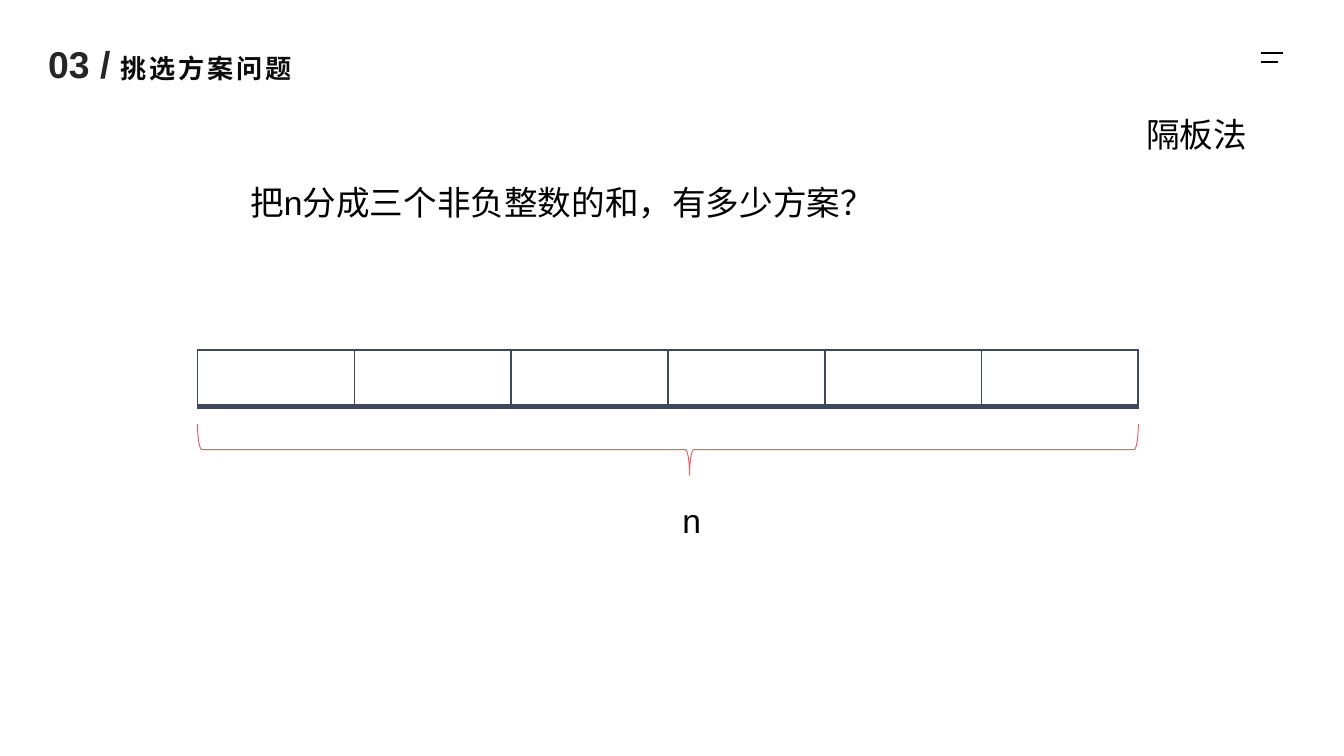
from dataclasses import dataclass

from lxml import etree
from pptx import Presentation
from pptx.dml.color import RGBColor
from pptx.enum.shapes import MSO_CONNECTOR, MSO_SHAPE
from pptx.enum.text import MSO_AUTO_SIZE
from pptx.oxml.ns import qn
from pptx.slide import Slide
from pptx.table import _Cell
from pptx.util import Inches, Pt

STRAIGHT = MSO_CONNECTOR.STRAIGHT
LEFT_BRACE = MSO_SHAPE.LEFT_BRACE
GROW = MSO_AUTO_SIZE.SHAPE_TO_FIT_TEXT

GRID = 0.1
COLUMNS, ROWS = 100, 56.25
BLACK, NAVY, RED = "000000", "3D485D", "F15B67"
BOX_COUNT = 6
BAR_LEFT, BAR_TOP, BAR_WIDTH, BAR_HEIGHT = 14.7, 26.05, 70, 4.2
BRACE_TOP, BRACE_DEPTH = 31.55, 3.8
BORDERS = {"a:lnL": 1, "a:lnR": 1, "a:lnT": 1, "a:lnB": 3}


@dataclass
class Area:
    column: float
    row: float
    width: float
    height: float

    def lengths(self) -> list[int]:
        return [grid(value) for value in (self.column, self.row, self.width, self.height)]


@dataclass
class Run:
    text: str
    size: float = 18
    color: str = BLACK
    bold: bool = False
    font: str | None = "Arial"
    spacing: float = 0


@dataclass
class MenuBar:
    row: float
    width: float


LABELS = [
    (Area(17.65, 13.05, 48.4, 4), "把n分成三个非负整数的和，有多少方案？"),
    (Area(49.8, 36.7, 3.4, 4), "n"),
    (Area(84.3, 8, 9.5, 4), "隔板法"),
]
TITLE = [
    Run("03 / ", size=20, color="262626", bold=True),
    Run("挑选方案问题", size=14, color="0C0C0C", bold=True, font=None, spacing=1.5),
]
MENU_BARS = [MenuBar(3.95, 1.65), MenuBar(4.6, 1.3)]


def grid(units: float) -> int:
    return Inches(units * GRID)


def rgb(color: str) -> RGBColor:
    return RGBColor.from_string(color)


def add_text(slide: Slide, area: Area, runs: list[Run], *, wrap: bool = False,
             line_spacing: float | None = None, space: float = 0) -> None:
    frame = slide.shapes.add_textbox(*area.lengths()).text_frame
    frame.word_wrap = wrap
    frame.auto_size = GROW
    paragraph = frame.paragraphs[0]
    paragraph.line_spacing = line_spacing
    paragraph.space_before = paragraph.space_after = Pt(space)
    for item in runs:
        run = paragraph.add_run()
        run.text = item.text
        run.font.size = Pt(item.size)
        run.font.bold = item.bold
        run.font.name = item.font
        run.font.color.rgb = rgb(item.color)
        if item.spacing:
            run.font._element.set("spc", str(int(item.spacing * 100)))


def add_menu_bar(slide: Slide, bar: MenuBar) -> None:
    left, top = grid(93.8), grid(bar.row)
    connector = slide.shapes.add_connector(STRAIGHT, left, top, left + grid(bar.width), top)
    connector.line.color.rgb = rgb(BLACK)
    connector.line.width = Pt(1)
    etree.SubElement(connector._element.spPr, qn("a:effectLst"))


def set_borders(cell: _Cell) -> None:
    properties = cell._tc.get_or_add_tcPr()
    for position, (tag, width) in enumerate(BORDERS.items()):
        border = etree.Element(qn(tag), w=str(Pt(width)))
        fill = etree.SubElement(border, qn("a:solidFill"))
        etree.SubElement(fill, qn("a:srgbClr"), val=NAVY)
        properties.insert(position, border)


def add_box_row(slide: Slide, area: Area) -> None:
    table = slide.shapes.add_table(1, BOX_COUNT, *area.lengths()).table
    table.first_row = False
    table.horz_banding = False
    for cell in table.iter_cells():
        cell.fill.background()
        set_borders(cell)


def add_brace(slide: Slide, area: Area) -> None:
    upright = Area(area.column + (area.width - area.height) / 2,
                   area.row + (area.height - area.width) / 2,
                   area.height, area.width)
    shape = slide.shapes.add_shape(LEFT_BRACE, *upright.lengths())
    shape.rotation = 270
    shape.adjustments[0] = 0.083
    shape.adjustments[1] = 0.523
    shape.shadow.inherit = False
    shape.fill.background()
    shape.line.color.rgb = rgb(RED)
    shape.line.width = Pt(0.5)


def main() -> None:
    presentation = Presentation()
    presentation.slide_width = grid(COLUMNS)
    presentation.slide_height = grid(ROWS)
    slide = presentation.slides.add_slide(presentation.slide_layouts[6])
    for bar in MENU_BARS:
        add_menu_bar(slide, bar)
    add_text(slide, Area(2.6, 1.6, 25.9, 5.4), TITLE, wrap=True, line_spacing=1.3, space=10)
    add_box_row(slide, Area(BAR_LEFT, BAR_TOP, BAR_WIDTH, BAR_HEIGHT))
    add_brace(slide, Area(BAR_LEFT, BRACE_TOP, BAR_WIDTH, BRACE_DEPTH))
    for area, text in LABELS:
        add_text(slide, area, [Run(text)])
    presentation.save("out.pptx")


if __name__ == "__main__":
    main()
